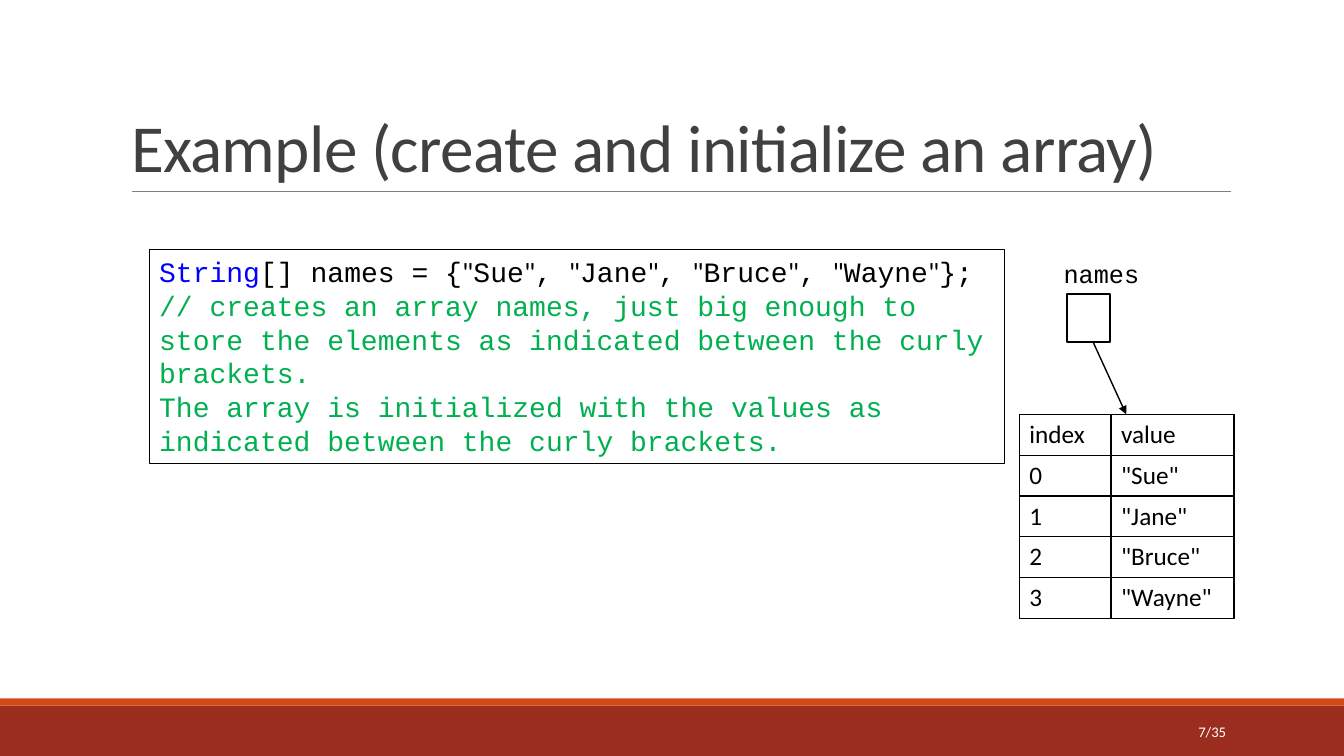
"""Build a slide about creating and initializing an array."""
from dataclasses import dataclass
from itertools import groupby
from typing import Optional

from lxml.etree import SubElement
from pptx import Presentation
from pptx.dml.color import RGBColor
from pptx.enum.shapes import MSO_CONNECTOR as Connector, MSO_SHAPE as Shape
from pptx.enum.text import MSO_ANCHOR as Anchor, MSO_AUTO_SIZE as AutoSize, PP_ALIGN as Align
from pptx.oxml.ns import qn
from pptx.util import Emu, Pt

EMU_PER_PX = 9144
BLACK = RGBColor(0x00, 0x00, 0x00)
WHITE = RGBColor(0xFF, 0xFF, 0xFF)
GREY = RGBColor(0x80, 0x80, 0x80)
TITLE_GREY = RGBColor(0x40, 0x40, 0x40)
BRICK = RGBColor(0x9B, 0x2D, 0x1F)
ORANGE = RGBColor(0xD3, 0x48, 0x17)
BLUE = RGBColor(0x00, 0x00, 0xFF)
GREEN = RGBColor(0x00, 0xB0, 0x50)
BODY_FONT, CODE_FONT = "Calibri", "Courier New"


@dataclass(frozen=True)
class Box:
    left: int
    top: int
    width: int
    height: int
    fill: Optional[RGBColor] = None
    line: Optional[float] = None


@dataclass(frozen=True)
class Line:
    start: tuple[int, int]
    end: tuple[int, int]
    color: RGBColor
    weight: float
    arrow: bool = False


@dataclass(frozen=True)
class Label:
    box: Box
    text: str
    font: str
    size: float
    color: RGBColor
    align: Align = Align.LEFT
    anchor: Anchor = Anchor.TOP


FOOTER_BANDS = (Box(0, 700, 1333, 50, BRICK), Box(0, 693, 1333, 7, ORANGE))
TITLE_BOX = Box(120, 31, 1100, 159)
CODE_BOX = Box(148, 248, 848, 212, line=0.75)
REFERENCE_BOX = Box(1058, 292, 43, 47, WHITE, 1.25)
TABLE_BOX = Box(1011, 411, 213, 200)
COLUMN_WIDTHS = (91, 122)
LINES = (
    Line((131, 190), (1221, 190), GREY, 0.5),
    Line((1084, 339), (1117, 411), BLACK, 1, arrow=True),
)
LABELS = (
    Label(Box(1083, 706, 143, 40), "7/35", BODY_FONT, 10.5, WHITE, Align.RIGHT, Anchor.MIDDLE),
    Label(Box(1045, 251, 118, 40), "names", CODE_FONT, 18, BLACK),
)
NAMES = ("Sue", "Jane", "Bruce", "Wayne")
QUOTED = [f'"{name}"' for name in NAMES]
CODE = (
    (("String", BLUE), (f"[] names = {{{', '.join(QUOTED)}}};", BLACK)),
    (("// creates an array names, just big enough to store the elements "
      "as indicated between the curly brackets.", GREEN),),
    (("The array is initialized with the values as indicated between "
      "the curly brackets.", GREEN),),
)


def px(length: int) -> Emu:
    """Turn px into EMU."""
    return Emu(length * EMU_PER_PX)


def frame(box: Box) -> tuple[Emu, ...]:
    """Give the position and size of a box in EMU."""
    return tuple(px(length) for length in (box.left, box.top, box.width, box.height))


def style_run(run, font: str, size: float, color: RGBColor) -> None:
    """Set the font of a run."""
    run.font.name, run.font.size, run.font.color.rgb = font, Pt(size), color


def draw_box(slide, box: Box):
    """Draw a rectangle."""
    shape = slide.shapes.add_shape(Shape.RECTANGLE, *frame(box))
    shape.shadow.inherit = False
    if box.fill is None:
        shape.fill.background()
    else:
        shape.fill.solid()
        shape.fill.fore_color.rgb = box.fill
    if box.line is None:
        shape.line.fill.background()
    else:
        shape.line.color.rgb = BLACK
        shape.line.width = Pt(box.line)
    return shape


def draw_line(slide, line: Line) -> None:
    """Draw a straight line, with an arrowhead if wanted."""
    ends = [px(length) for length in line.start + line.end]
    connector = slide.shapes.add_connector(Connector.STRAIGHT, *ends)
    connector.line.color.rgb = line.color
    connector.line.width = Pt(line.weight)
    if line.arrow:
        SubElement(connector.line._get_or_add_ln(), qn("a:tailEnd"), type="triangle")
    SubElement(connector._element.spPr, qn("a:effectLst"))


def draw_label(slide, label: Label) -> None:
    """Draw a one-line text box."""
    text_frame = slide.shapes.add_textbox(*frame(label.box)).text_frame
    text_frame.word_wrap = True
    text_frame.vertical_anchor = label.anchor
    text_frame.text = label.text
    para = text_frame.paragraphs[0]
    para.alignment = label.align
    style_run(para.runs[0], label.font, label.size, label.color)


def fill_title(slide, text: str) -> None:
    """Place and format the title."""
    title = slide.shapes.title
    title.left, title.top, title.width, title.height = frame(TITLE_BOX)
    text_frame = title.text_frame
    text_frame.text = text
    text_frame.word_wrap = True
    text_frame.auto_size = AutoSize.NONE
    text_frame.vertical_anchor = Anchor.BOTTOM
    para = text_frame.paragraphs[0]
    para.alignment, para.line_spacing = Align.LEFT, 0.85
    style_run(para.runs[0], BODY_FONT, 48, TITLE_GREY)
    para.runs[0].font._element.set("spc", "-50")


def draw_code(slide) -> None:
    """Draw the code box, with its quotation marks in the body font."""
    text_frame = draw_box(slide, CODE_BOX).text_frame
    text_frame.word_wrap = True
    text_frame.vertical_anchor = Anchor.TOP
    for index, pieces in enumerate(CODE):
        para = text_frame.add_paragraph() if index else text_frame.paragraphs[0]
        para.alignment = Align.LEFT
        for text, color in pieces:
            for is_quote, characters in groupby(text, lambda character: character == '"'):
                run = para.add_run()
                run.text = "".join(characters)
                style_run(run, BODY_FONT if is_quote else CODE_FONT, 20, color)


def add_borders(cell) -> None:
    """Give a cell thin black borders."""
    properties = cell._tc.get_or_add_tcPr()
    for side in ("lnL", "lnR", "lnT", "lnB"):
        border = SubElement(properties, qn(f"a:{side}"), w=str(Pt(1)))
        fill = SubElement(border, qn("a:solidFill"))
        SubElement(fill, qn("a:srgbClr"), val=str(BLACK))


def draw_table(slide) -> None:
    """Draw the table of indexes and values."""
    rows = [("index", "value"), *((str(i), name) for i, name in enumerate(QUOTED))]
    table = slide.shapes.add_table(len(rows), len(COLUMN_WIDTHS), *frame(TABLE_BOX)).table
    table.first_row = table.horz_banding = False
    for column, width in zip(table.columns, COLUMN_WIDTHS):
        column.width = px(width)
    for row_index, row in enumerate(rows):
        for column_index, text in enumerate(row):
            cell = table.cell(row_index, column_index)
            cell.text = text
            style_run(cell.text_frame.paragraphs[0].runs[0], BODY_FONT, 18, BLACK)
            add_borders(cell)
            cell.fill.background()


def main() -> None:
    """Build and save the deck."""
    deck = Presentation()
    deck.slide_width, deck.slide_height = px(1333), px(750)
    slide = deck.slides.add_slide(deck.slide_layouts[5])
    for band in FOOTER_BANDS:
        draw_box(slide, band)
    fill_title(slide, "Example (create and initialize an array)")
    draw_code(slide)
    draw_box(slide, REFERENCE_BOX)
    draw_table(slide)
    for label in LABELS:
        draw_label(slide, label)
    for line in LINES:
        draw_line(slide, line)
    deck.save("out.pptx")


if __name__ == "__main__":
    main()
